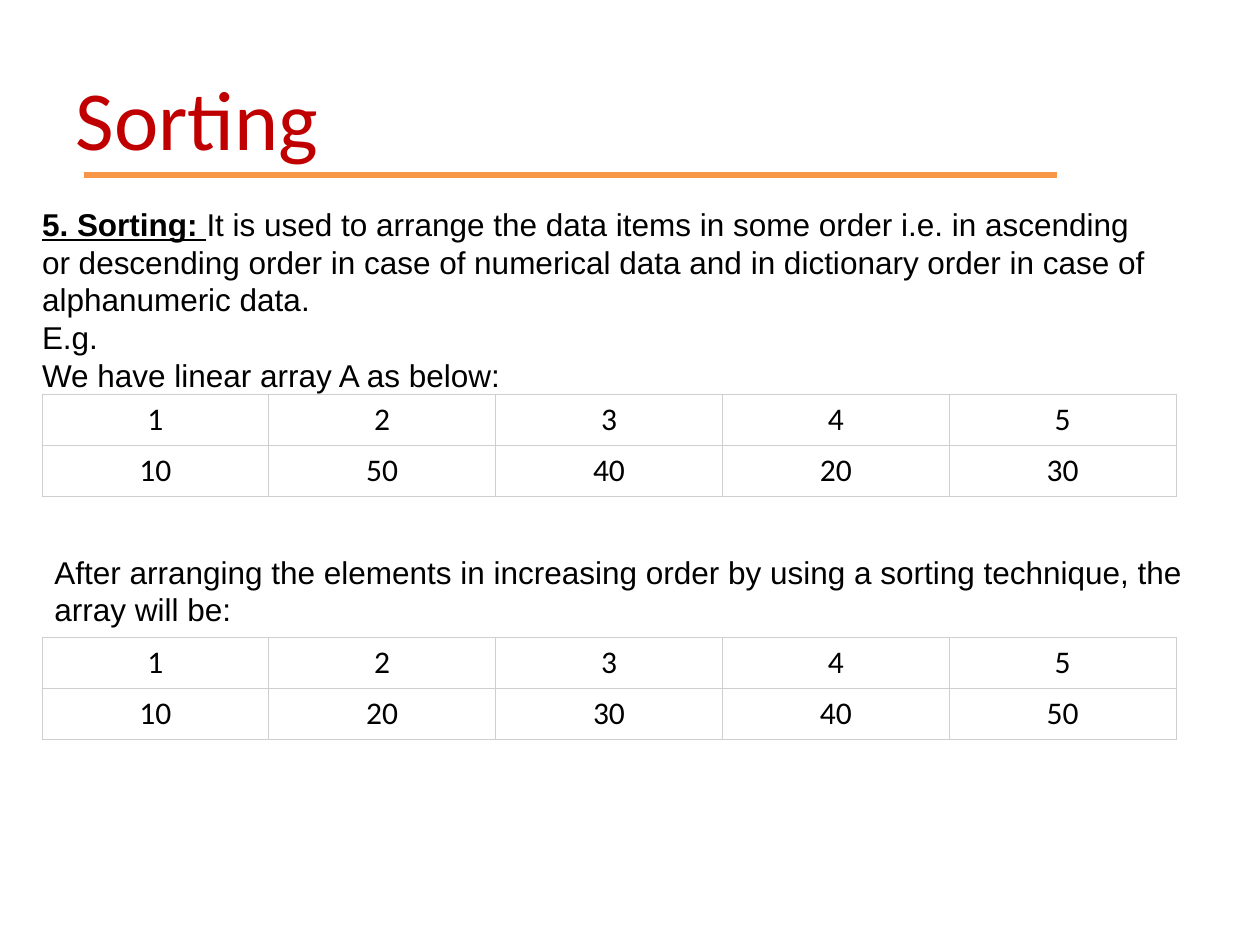
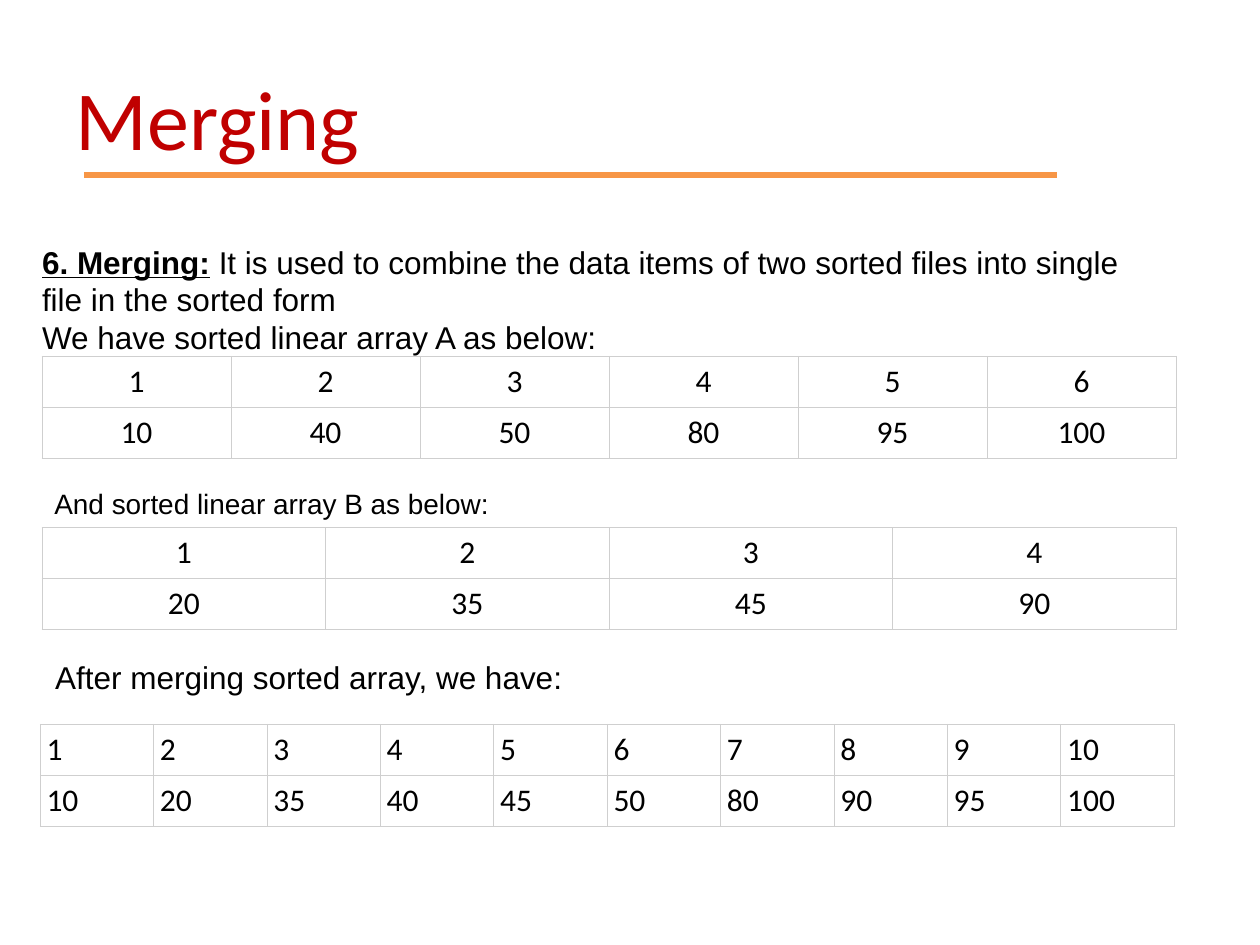
from lxml import etree
from pptx import Presentation
from pptx.dml.color import RGBColor
from pptx.enum import shapes, text
from pptx.oxml.ns import qn
from pptx.util import Pt


def rgb(value):
    return RGBColor.from_string(value)


def apply(target, values):
    for name, value in values.items():
        setattr(target, name, value)


def margins(x, y):
    return {"margin_left": Pt(x), "margin_right": Pt(x),
            "margin_top": Pt(y), "margin_bottom": Pt(y)}


class Deck:
    RED, ORANGE, BLACK, WHITE, GREY = "C00000", "F79646", "000000", "FFFFFF", "CFCFCF"
    HEADING, BODY = "Calibri", "Arial"
    LEFT, TABLE_WIDTH, ROW_HEIGHT = 24, 648, 29.2

    def __init__(self):
        self.prs = Presentation()
        apply(self.prs, {"slide_width": Pt(720), "slide_height": Pt(540)})
        self.s = None

    def place(self, sp, left, top, width, height):
        apply(sp, {"left": Pt(left), "top": Pt(top),
                   "width": Pt(width), "height": Pt(height)})

    def run(self, p, words, size=18, name=BODY, color=BLACK, **values):
        r = p.add_run()
        r.text = words
        apply(r.font, {"size": Pt(size), "name": name, **values})
        r.font.color.rgb = rgb(color)

    def slide(self, title):
        """Add a slide with its title and the rule below it."""
        self.s = self.prs.slides.add_slide(self.prs.slide_layouts[5])
        sp = self.s.shapes.title
        self.place(sp, 36, 21.6, 648, 90)
        tf = sp.text_frame
        tf.vertical_anchor = text.MSO_ANCHOR.MIDDLE
        p = tf.paragraphs[0]
        p.alignment = text.PP_ALIGN.LEFT
        self.run(p, title, 48, self.HEADING, self.RED)

        rule = self.s.shapes.add_connector(
            shapes.MSO_CONNECTOR.STRAIGHT, Pt(48), Pt(100), Pt(604), Pt(100))
        rule.line.color.rgb = rgb(self.ORANGE)
        rule.line.width = Pt(3)
        etree.SubElement(rule._element.spPr, qn("a:effectLst"))

    def intro(self, top, height, term, definition, *lines):
        """Add the definition block, opened by an underlined term."""
        sp = self.s.shapes.add_shape(shapes.MSO_SHAPE.RECTANGLE, Pt(self.LEFT),
                                     Pt(top), Pt(635), Pt(height))
        sp.shadow.inherit = False
        sp.fill.solid()
        sp.fill.fore_color.rgb = rgb(self.WHITE)
        sp.line.fill.background()
        tf = sp.text_frame
        apply(tf, {"word_wrap": True, "vertical_anchor": text.MSO_ANCHOR.MIDDLE,
                   **margins(0, 0)})
        p = tf.paragraphs[0]
        self.run(p, term, bold=True, underline=True)
        self.run(p, definition)
        for line in lines:
            self.run(tf.add_paragraph(), line)
        for p in tf.paragraphs:
            p.alignment = text.PP_ALIGN.LEFT

    def caption(self, top, words, width=660, height=29, size=18, left=LEFT):
        sp = self.s.shapes.add_textbox(Pt(left), Pt(top), Pt(width), Pt(height))
        tf = sp.text_frame
        apply(tf, {"word_wrap": True, **margins(7.2, 3.6)})
        self.run(tf.paragraphs[0], words, size)

    def border(self, cell):
        tc_pr = cell._tc.get_or_add_tcPr()
        for i, side in enumerate(("a:lnL", "a:lnR", "a:lnT", "a:lnB")):
            ln = etree.Element(qn(side), w=str(Pt(0.45)))
            fill = etree.SubElement(ln, qn("a:solidFill"))
            etree.SubElement(fill, qn("a:srgbClr"), val=self.GREY)
            tc_pr.insert(i, ln)

    def array(self, top, values, align=text.PP_ALIGN.CENTER, left=LEFT):
        """Add a table with positions from 1 above the array's values."""
        rows = (range(1, len(values) + 1), values)
        table = self.s.shapes.add_table(
            2, len(values), Pt(left), Pt(top), Pt(self.TABLE_WIDTH),
            Pt(2 * self.ROW_HEIGHT)).table
        apply(table, {"first_row": False, "horz_banding": False})
        for column in table.columns:
            column.width = Pt(self.TABLE_WIDTH / len(values))
        for i, row in enumerate(rows):
            table.rows[i].height = Pt(self.ROW_HEIGHT)
            for j, value in enumerate(row):
                cell = table.cell(i, j)
                apply(cell, {"vertical_anchor": text.MSO_ANCHOR.MIDDLE,
                             **margins(3.6, 3.6)})
                cell.fill.solid()
                cell.fill.fore_color.rgb = rgb(self.WHITE)
                self.border(cell)
                p = cell.text_frame.paragraphs[0]
                p.alignment = align
                self.run(p, str(value), name=self.HEADING)


def main():
    deck = Deck()

    # Sorting
    deck.slide("Sorting")
    deck.intro(117, 108, "5. Sorting: ",
               "It is used to arrange the data items in some order i.e. in "
               "ascending or descending order in case of numerical data and in "
               "dictionary order in case of alphanumeric data.",
               "E.g.", "We have linear array A as below:")
    unsorted = [10, 50, 40, 20, 30]
    deck.array(225.2, unsorted)
    deck.caption(312.2, "After arranging the elements in increasing order by using "
                 "a sorting technique, the array will be:", height=51)
    deck.array(364.3, sorted(unsorted))

    # Merging
    deck.slide("Merging")
    deck.intro(138.5, 65, "6. Merging:",
               " It is used to combine the data items of two sorted files into "
               "single file in the sorted form",
               "We have sorted linear array A as below:")
    a, b = [10, 40, 50, 80, 95, 100], [20, 35, 45, 90]
    deck.array(203.6, a)
    deck.caption(274.3, "And sorted linear array B as below:", 634, 27, 16)
    deck.array(301.4, b)
    deck.caption(372.5, "After merging sorted array, we have:", 305, left=24.5)
    deck.array(413.8, sorted(a + b), text.PP_ALIGN.LEFT, 23)

    deck.prs.save("out.pptx")


if __name__ == "__main__":
    main()
